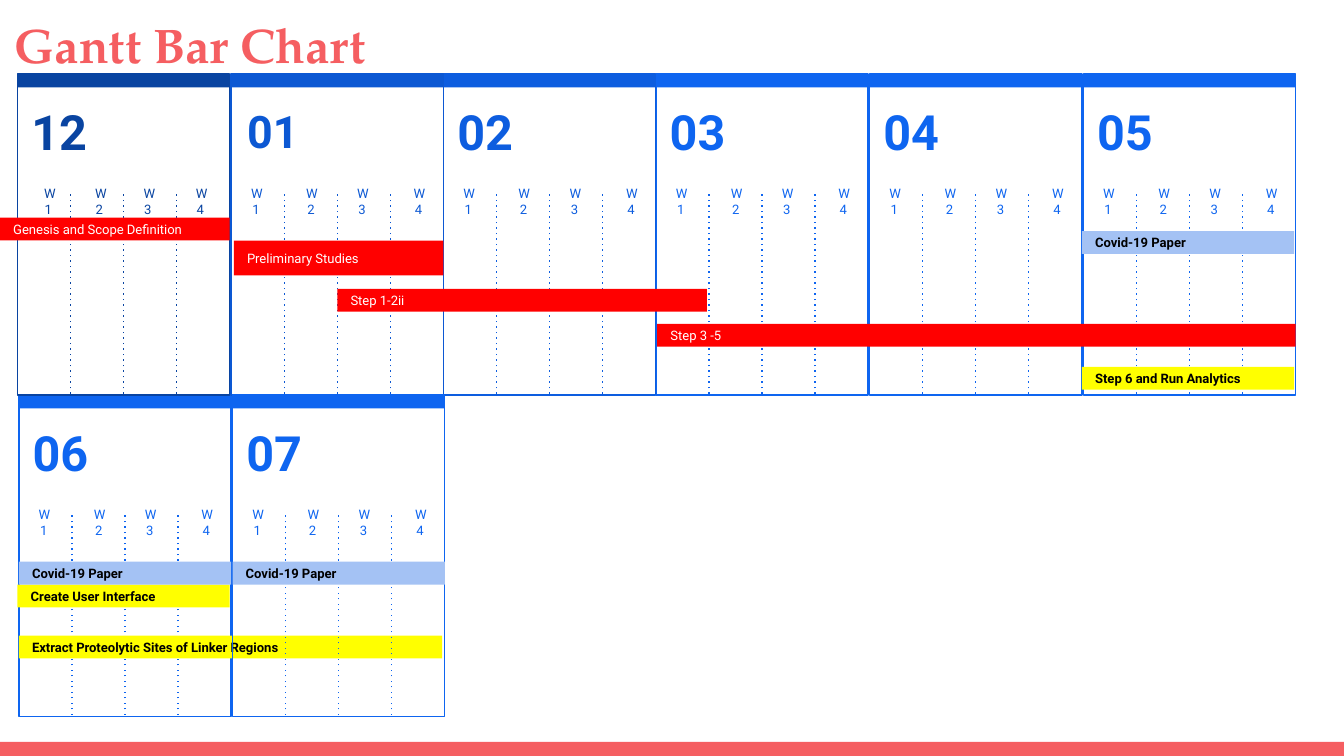
"""Builds a Gantt chart slide with eight month panels and task bars."""
from pptx import Presentation
from pptx.dml.color import RGBColor
from pptx.enum.shapes import MSO_CONNECTOR, MSO_SHAPE
from pptx.enum.text import MSO_ANCHOR, PP_ALIGN
from pptx.oxml.ns import qn
from pptx.util import Inches, Pt
from lxml.etree import SubElement

COLORS = {
    "coral": "F55E61",
    "navy": "0944A1",
    "royal": "0C58D3",
    "cobalt": "0D5DDF",
    "blue": "0E65F0",
    "red": "FF0000",
    "yellow": "FFFF00",
    "sky": "A4C2F4",
    "white": "FFFFFF",
    "black": "000000",
}
MONTH_WIDTH, MONTH_HEIGHT, HEADER_HEIGHT = 1.58, 2.39, 0.1
BAR_HEIGHT = 0.17
TOP_ROW, BOTTOM_ROW = 0.55, 2.94
WEEK_OFFSETS = (0.05, 0.46, 0.84, 1.26)
FIRST_WEEK_OFFSETS = (0.1, 0.48, 0.84, 1.23)


def rgb(color):
    """Return the named colour."""
    return RGBColor.from_string(COLORS[color])


def write(shape, text, size=7, color="black", bold=False, font="Roboto",
          align=PP_ALIGN.LEFT, anchor=MSO_ANCHOR.MIDDLE):
    """Put one formatted paragraph in a shape."""
    frame = shape.text_frame
    frame.word_wrap = True
    frame.vertical_anchor = anchor
    frame.margin_left = frame.margin_right = Inches(0.1)
    frame.margin_top = frame.margin_bottom = Inches(0.1)
    paragraph = frame.paragraphs[0]
    paragraph.alignment = align
    run = paragraph.add_run()
    run.text = text
    run.font.name = font
    run.font.size = Pt(size)
    run.font.bold = bold
    run.font.color.rgb = rgb(color)


def add_label(shapes, text, left, top, width, height, **text_format):
    """Add a text box with formatted text."""
    label = shapes.add_textbox(Inches(left), Inches(top), Inches(width), Inches(height))
    write(label, text, **text_format)


def add_box(shapes, left, top, width, height, fill=None, outline=None):
    """Add a rectangle with an optional fill and outline."""
    box = shapes.add_shape(MSO_SHAPE.RECTANGLE, Inches(left), Inches(top),
                           Inches(width), Inches(height))
    box.shadow.inherit = False
    if fill:
        box.fill.solid()
        box.fill.fore_color.rgb = rgb(fill)
    else:
        box.fill.background()
    if outline:
        box.line.color.rgb = rgb(outline)
        box.line.width = Pt(0.75)
    else:
        box.line.fill.background()
    return box


def add_week_divider(shapes, x, bottom, top, color):
    """Add a dotted vertical line between two weeks."""
    divider = shapes.add_connector(MSO_CONNECTOR.STRAIGHT, Inches(x), Inches(bottom),
                                   Inches(x), Inches(top))
    divider.line.color.rgb = rgb(color)
    divider.line.width = Pt(0.75)
    properties = divider._element.spPr
    SubElement(properties.find(qn("a:ln")), qn("a:prstDash"), val="dot")
    SubElement(properties, qn("a:effectLst"))


def add_month(slide, number, left, top, color="blue", size=26,
              week_offsets=WEEK_OFFSETS, week_width=0.27):
    """Add a grouped month panel with its header, number and four weeks."""
    shapes = slide.shapes.add_group_shape().shapes
    week_top = top + 0.87
    add_box(shapes, left, top, MONTH_WIDTH, MONTH_HEIGHT, outline=color)
    add_box(shapes, left, top, MONTH_WIDTH, HEADER_HEIGHT, fill=color)
    add_label(shapes, number, left, top + HEADER_HEIGHT, 0.62, 0.65,
              size=size, color=color, bold=True, align=PP_ALIGN.CENTER)
    for week, offset in enumerate(week_offsets, start=1):
        add_label(shapes, f"W{week}", left + offset, week_top, week_width, 0.15,
                  color=color, align=PP_ALIGN.CENTER)
    for quarter in range(1, 4):
        add_week_divider(shapes, left + quarter * MONTH_WIDTH / 4,
                         top + MONTH_HEIGHT - 0.01, week_top, color)


def add_task(slide, text, left, top, width=MONTH_WIDTH, height=BAR_HEIGHT, fill="red"):
    """Add a task bar, white on red or bold black on a light fill."""
    task = add_box(slide.shapes, left, top, width, height, fill=fill)
    is_red = fill == "red"
    write(task, text, color="white" if is_red else "black", bold=not is_red)


def main():
    """Build and save the slide."""
    presentation = Presentation()
    presentation.slide_width = Inches(10)
    presentation.slide_height = Inches(10) * 9 // 16
    slide = presentation.slides.add_slide(presentation.slide_layouts[6])

    add_box(slide.shapes, 0, 5.52, 10, 0.11, fill="coral")
    add_month(slide, "06", 0.14, BOTTOM_ROW)
    add_month(slide, "05", 8.06, TOP_ROW)
    add_month(slide, "04", 6.47, TOP_ROW)
    add_label(slide.shapes, "Gantt Bar Chart", 0.01, 0.01, 9.32, 0.68, size=26,
              color="coral", bold=True, font="TeX Gyre Pagella", anchor=MSO_ANCHOR.TOP)
    add_month(slide, "03", 4.88, TOP_ROW)
    add_month(slide, "02", 3.3, TOP_ROW, color="cobalt")
    add_month(slide, "01", 1.72, TOP_ROW, color="royal", size=24)
    add_month(slide, "12", 0.13, TOP_ROW, color="navy",
              week_offsets=FIRST_WEEK_OFFSETS, week_width=0.26)

    add_task(slide, "Genesis and Scope Definition", 0, 1.62, width=1.71)
    add_task(slide, "Preliminary Studies", 1.74, 1.79, width=1.56, height=0.26)
    add_task(slide, "Step 3 -5", 4.89, 2.41, width=4.75)
    add_task(slide, "Step 1-2ii", 2.51, 2.15, width=2.75)
    add_task(slide, "Create User Interface", 0.13, 4.35, fill="yellow")
    add_task(slide, "Extract Proteolytic Sites of Linker Regions", 0.14, 4.73,
             width=3.15, fill="yellow")

    add_month(slide, "07", 1.73, BOTTOM_ROW)
    add_task(slide, "Step 6 and Run Analytics", 8.05, 2.73, fill="yellow")
    for left, top in ((8.05, 1.72), (0.14, 4.18), (1.73, 4.18)):
        add_task(slide, "Covid-19 Paper", left, top, fill="sky")

    presentation.save("out.pptx")


if __name__ == "__main__":
    main()
